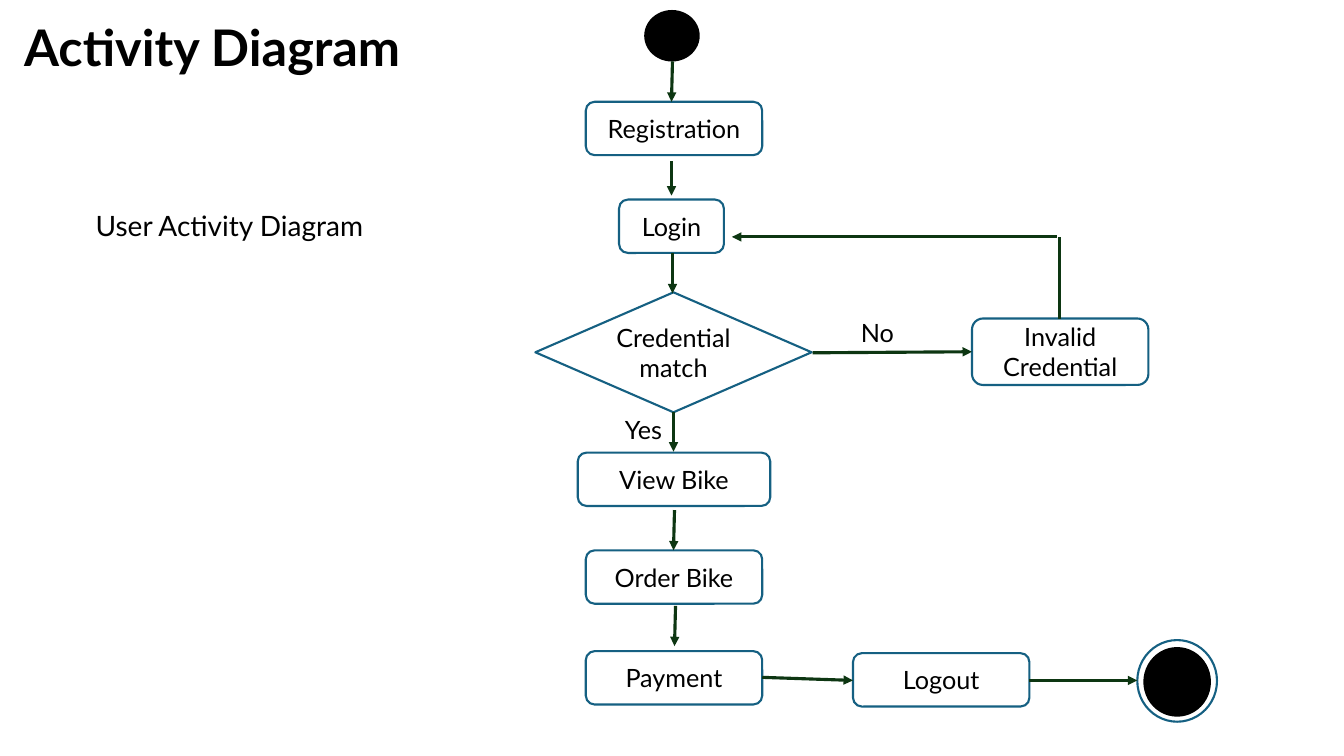
from dataclasses import dataclass

from lxml.etree import SubElement
from pptx import Presentation
from pptx.dml.color import RGBColor as Color
from pptx.enum.shapes import MSO_CONNECTOR as Connector, MSO_SHAPE as Shape
from pptx.enum.text import MSO_ANCHOR as Anchor, MSO_AUTO_SIZE as AutoSize, PP_ALIGN as Align
from pptx.oxml.ns import qn
from pptx.util import Inches, Pt


@dataclass(frozen=True)
class Theme:
    font: str = "Lato"
    ink: str = "000000"
    paper: str = "FFFFFF"
    outline: str = "156082"
    arrow: str = "0D3612"
    title_size: int = 36
    subtitle_size: int = 20
    label_size: int = 18
    outline_width: float = 1.5
    arrow_width: float = 2.25


class ActivitySlide:
    def __init__(self, deck, theme):
        self.theme = theme
        self.page = deck.slides.add_slide(deck.slide_layouts[5])

    def add_text(self, frame, text, size, bold=False, align=Align.LEFT):
        para = frame.paragraphs[0]
        para.alignment = align
        span = para.add_run()
        span.text = text
        span.font.name = self.theme.font
        span.font.size = Pt(size)
        span.font.bold = bold
        span.font.color.rgb = Color.from_string(self.theme.ink)

    def title(self, text, left, top, width, height):
        box = self.page.shapes.title
        box.left, box.top = Inches(left), Inches(top)
        box.width, box.height = Inches(width), Inches(height)
        frame = box.text_frame
        frame.word_wrap = True
        frame.auto_size = AutoSize.NONE
        frame.vertical_anchor = Anchor.TOP
        self.add_text(frame, text, self.theme.title_size, bold=True)

    def label(self, text, left, top, width, height, size=None):
        box = self.page.shapes.add_textbox(
            Inches(left), Inches(top), Inches(width), Inches(height))
        frame = box.text_frame
        frame.word_wrap = True
        frame.auto_size = AutoSize.SHAPE_TO_FIT_TEXT
        self.add_text(frame, text, size or self.theme.label_size)

    def node(self, kind, left, top, width, height, fill, line):
        box = self.page.shapes.add_shape(
            kind, Inches(left), Inches(top), Inches(width), Inches(height))
        box.shadow.inherit = False
        box.fill.solid()
        box.fill.fore_color.rgb = Color.from_string(fill)
        box.line.color.rgb = Color.from_string(line)
        box.line.width = Pt(self.theme.outline_width)
        return box

    def step(self, text, left, top, width, height=0.53, kind=Shape.ROUNDED_RECTANGLE):
        box = self.node(kind, left, top, width, height, self.theme.paper, self.theme.outline)
        frame = box.text_frame
        frame.word_wrap = True
        frame.vertical_anchor = Anchor.MIDDLE
        frame.margin_left = frame.margin_right = 0
        inset = 0 if kind == Shape.FLOWCHART_DECISION else 0.05
        frame.margin_top = frame.margin_bottom = Inches(inset)
        self.add_text(frame, text, self.theme.label_size, align=Align.CENTER)

    def dot(self, left, top, width, height):
        self.node(Shape.OVAL, left, top, width, height, self.theme.ink, self.theme.ink)

    def ring(self, left, top, width, height):
        self.node(Shape.OVAL, left, top, width, height, self.theme.paper, self.theme.outline)

    def flow(self, start, end, arrowhead=True):
        arrow = self.page.shapes.add_connector(
            Connector.STRAIGHT, *(Inches(value) for value in (*start, *end)))
        arrow.line.color.rgb = Color.from_string(self.theme.arrow)
        arrow.line.width = Pt(self.theme.arrow_width)
        properties = arrow._element.spPr
        if arrowhead:
            SubElement(properties.find(qn("a:ln")), qn("a:tailEnd"), type="triangle")
        SubElement(properties, qn("a:effectLst"))


def main():
    deck = Presentation()
    deck.slide_width, deck.slide_height = Inches(13.33), Inches(7.5)
    theme = Theme()
    slide = ActivitySlide(deck, theme)

    slide.title("Activity Diagram", 0.14, 0.11, 4.55, 0.71)
    slide.label("User Activity Diagram", 0.85, 2.02, 4.8, 0.44, theme.subtitle_size)

    slide.dot(6.4, 0.11, 0.53, 0.49)
    for text, left, top, width in (
        ("Registration", 5.81, 1.01, 1.75),
        ("Login", 6.14, 1.98, 1.04),
        ("View Bike", 5.73, 4.49, 1.91),
        ("Order Bike", 5.81, 5.46, 1.75),
        ("Payment", 5.81, 6.46, 1.75),
        ("Logout", 8.46, 6.48, 1.75),
    ):
        slide.step(text, left, top, width)
    slide.step("Credential match", 5.31, 2.9, 2.74, 1.19, Shape.FLOWCHART_DECISION)
    slide.step("Invalid Credential", 9.64, 3.16, 1.75, 0.66)
    slide.ring(11.28, 6.35, 0.79, 0.81)
    slide.dot(11.35, 6.43, 0.65, 0.67)

    for start, end in (
        ((6.67, 0.61), (6.66, 1.01)),
        ((6.66, 1.6), (6.66, 1.94)),
        ((6.67, 2.51), (6.67, 2.91)),
        ((6.68, 4.09), (6.68, 4.48)),
        ((6.69, 5.06), (6.68, 5.46)),
        ((6.7, 6.01), (6.69, 6.41)),
        ((7.56, 6.72), (8.46, 6.75)),
        ((10.21, 6.75), (11.28, 6.75)),
        ((8.06, 3.5), (9.64, 3.49)),
        ((10.48, 2.35), (7.26, 2.35)),
    ):
        slide.flow(start, end)
    slide.flow((10.51, 3.16), (10.51, 2.35), arrowhead=False)

    slide.label("No", 8.44, 3.1, 0.75, 0.4)
    slide.label("Yes", 6.1, 4.06, 0.75, 0.4)

    deck.save("out.pptx")


if __name__ == "__main__":
    main()
